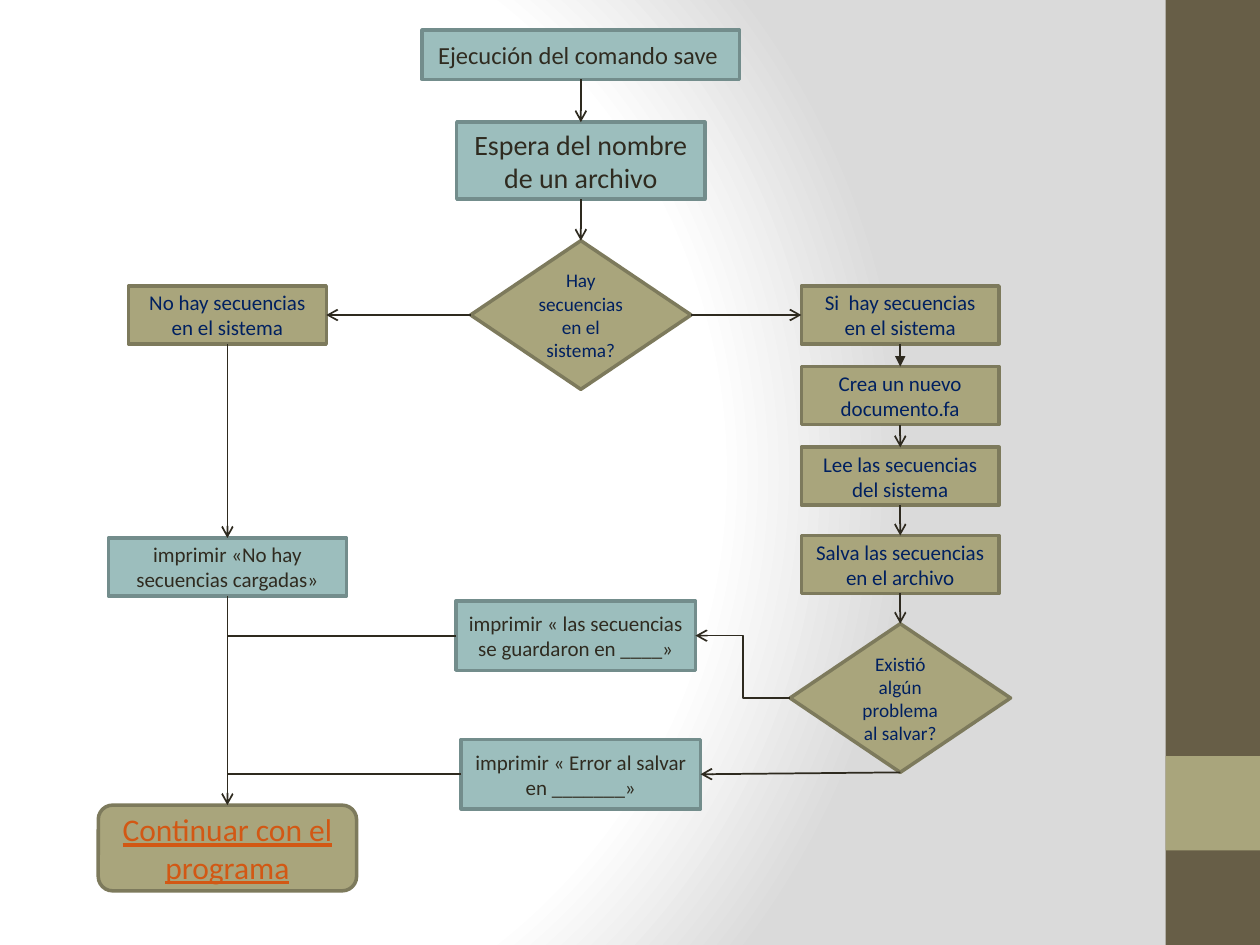
from dataclasses import dataclass

from lxml import etree
from pptx import Presentation
from pptx.dml.color import RGBColor
from pptx.enum.shapes import MSO_CONNECTOR as Link, MSO_SHAPE as Shape
from pptx.enum.text import MSO_ANCHOR as Anchor, PP_ALIGN as Align
from pptx.oxml import parse_xml
from pptx.oxml.ns import nsdecls, qn
from pptx.util import Inches, Pt

COLUMNS, ROWS = 100, 75
CELL = Inches(0.1)
STEP_HEIGHT = 4.6
TOP, LEFT, BOTTOM, RIGHT = range(4)

TEAL = RGBColor(0x9C, 0xBE, 0xBD)
TEAL_EDGE = RGBColor(0x73, 0x8D, 0x8C)
OLIVE = RGBColor(0xA9, 0xA5, 0x7C)
OLIVE_EDGE = RGBColor(0x7D, 0x7A, 0x5C)
BROWN = RGBColor(0x67, 0x5E, 0x47)
INK = RGBColor(0x2F, 0x2B, 0x20)
LINE = RGBColor(0x2E, 0x2A, 0x1F)
NAVY = RGBColor(0x00, 0x20, 0x60)
ORANGE = RGBColor(0xD2, 0x58, 0x14)
WHITE = RGBColor(0xFF, 0xFF, 0xFF)
GREY = RGBColor(0xDA, 0xDA, 0xDA)


@dataclass
class Box:
    """An area of the slide, in grid columns and rows."""
    left: float
    top: float
    width: float
    height: float

    def inner(self, left, top, width, height):
        """Return an area placed relative to this one."""
        return Box(self.left + left, self.top + top, width, height)

    def centred(self, top, width, height):
        """Return an area on this one's vertical axis."""
        return self.inner((self.width - width) / 2, top, width, height)

    def lengths(self):
        """Return left, top, width and height as slide lengths."""
        return [round(n * CELL) for n in (self.left, self.top, self.width, self.height)]


@dataclass
class Style:
    """The look of a flowchart node."""
    fill: RGBColor
    edge: RGBColor
    ink: RGBColor


ACTION = Style(TEAL, TEAL_EDGE, INK)
STATE = Style(OLIVE, OLIVE_EDGE, NAVY)
EXIT = Style(OLIVE, OLIVE_EDGE, ORANGE)


def add_block(page, box, fill, kind=Shape.RECTANGLE):
    """Draw a plain filled shape without an outline."""
    block = page.shapes.add_shape(kind, *box.lengths())
    block.shadow.inherit = False
    block.fill.solid()
    block.fill.fore_color.rgb = fill
    block.line.fill.background()
    return block


def add_node(page, box, text, style, size=12, kind=Shape.RECTANGLE):
    """Draw an outlined flowchart node with centred text."""
    node = add_block(page, box, style.fill, kind)
    node.line.color.rgb = style.edge
    node.line.width = Pt(2)
    frame = node.text_frame
    frame.word_wrap = True
    frame.margin_top = frame.margin_bottom = 0
    frame.vertical_anchor = Anchor.MIDDLE
    para = frame.paragraphs[0]
    para.alignment = Align.CENTER
    span = para.add_run()
    span.text = text
    span.font.name = "Calibri"
    span.font.size = Pt(size)
    span.font.color.rgb = style.ink
    span.font.underline = True if style is EXIT else None
    return node


def add_link(page, start=None, end=None, points=(0, 0, 0, 0), kind=Link.STRAIGHT, head="arrow"):
    """Draw a line between points or between (node, side) pairs."""
    link = page.shapes.add_connector(kind, *[round(n * CELL) for n in points])
    if start:
        link.begin_connect(*start)
    if end:
        link.end_connect(*end)
    link.line.color.rgb = LINE
    link.line.width = Pt(1)
    if head:
        etree.SubElement(link.line._get_or_add_ln(), qn("a:tailEnd"), type=head)
    etree.SubElement(link._element.spPr, qn("a:effectLst"))


def chain(page, nodes, heads=()):
    """Link each node's bottom to the next node's top."""
    for place, (upper, lower) in enumerate(zip(nodes, nodes[1:])):
        head = heads[place] if place < len(heads) else "arrow"
        add_link(page, (upper, BOTTOM), (lower, TOP), head=head)


def paint_background(page):
    """Fill the background with a radial white to grey gradient."""
    stops = "".join(
        f'<a:gs pos="{place * 1000}"><a:srgbClr val="{colour}"/></a:gs>'
        for place, colour in ((0, WHITE), (75, WHITE), (100, GREY)))
    page.background.fill.solid()
    properties = page._element.cSld.bg.bgPr
    properties.replace(properties[0], parse_xml(
        f'<a:gradFill {nsdecls("a")} rotWithShape="1"><a:gsLst>{stops}</a:gsLst>'
        '<a:path path="circle"><a:fillToRect l="20000" t="50000" r="100000" b="50000"/>'
        '</a:path></a:gradFill>'))


def add_side_band(page, box):
    """Draw the side band with its square accent."""
    add_block(page, box, BROWN)
    add_block(page, box.inner(0, 0.8 * box.height, box.width, box.width), OLIVE)


def add_start(page, box):
    """Draw the opening steps; return the first decision."""
    nodes = [
        add_node(page, box.centred(0, 25.2, 3.9), "Ejecución del comando save ", ACTION, 14),
        add_node(page, box.centred(7.3, 19.7, 6.1), "Espera del nombre de un archivo", ACTION, 16),
        add_node(page, box.centred(16.7, 17.5, 11.8), "Hay secuencias en el sistema?",
                 STATE, 11, Shape.DIAMOND)]
    chain(page, nodes)
    return nodes[-1]


def add_empty_branch(page, box):
    """Draw the branch without sequences; return its first node."""
    nodes = [
        add_node(page, box.centred(0, 15.7, STEP_HEIGHT), "No hay secuencias en el sistema", STATE),
        add_node(page, box.centred(20, 18.9, STEP_HEIGHT),
                 "imprimir «No hay secuencias cargadas»", ACTION),
        add_node(page, box.centred(41.2, 20.5, 6.8), "Continuar con el programa",
                 EXIT, 18, Shape.FLOWCHART_ALTERNATE_PROCESS)]
    chain(page, nodes)
    return nodes[0]


def add_save_branch(page, box):
    """Draw the saving branch; return its first node and decision."""
    steps = ((0, "Si  hay secuencias en el sistema"), (6.4, "Crea un nuevo documento.fa"),
             (12.8, "Lee las secuencias del sistema"), (19.8, "Salva las secuencias en el archivo"))
    nodes = [add_node(page, box.centred(top, 15.7, STEP_HEIGHT), text, STATE)
             for top, text in steps]
    nodes.append(add_node(page, box.centred(26.8, 17.5, 11.8), "Existió algún problema al salvar?",
                          STATE, 11, Shape.DIAMOND))
    chain(page, nodes, heads=("triangle",))
    return nodes[0], nodes[-1]


def add_messages(page, box, axis):
    """Draw both result messages and their lines to the left axis."""
    saved_box = box.inner(0, 0, 19, 5.5)
    failed_box = box.inner(0.4, 11, 19, 5.5)
    saved = add_node(page, saved_box, "imprimir « las secuencias se guardaron en ____»", ACTION)
    failed = add_node(page, failed_box, "imprimir « Error al salvar en _______»", ACTION)
    for message in (saved_box, failed_box):
        height = message.top + message.height / 2
        add_link(page, points=(message.left, height, axis, height), head=None)
    return saved, failed


def add_flowchart(page, box):
    """Place the four regions of the flowchart and join them."""
    empty_box = box.inner(7.8, 22.7, 20.5, 48)
    has_sequences = add_start(page, box.inner(33.5, 2.4, 25.2, 28.5))
    empty = add_empty_branch(page, empty_box)
    filled, had_problem = add_save_branch(page, box.inner(62.7, 22.7, 17.5, 38.6))
    axis = empty_box.left + empty_box.width / 2
    saved, failed = add_messages(page, box.inner(36.2, 47.7, 19.4, 16.5), axis)
    add_link(page, (has_sequences, LEFT), (empty, RIGHT))
    add_link(page, (has_sequences, RIGHT), (filled, LEFT))
    add_link(page, (had_problem, LEFT), (saved, RIGHT), kind=Link.ELBOW)
    add_link(page, (had_problem, BOTTOM), (failed, RIGHT))


def main():
    """Build and save the one-page deck."""
    deck = Presentation()
    deck.slide_width, deck.slide_height = COLUMNS * CELL, ROWS * CELL
    page = deck.slides.add_slide(deck.slide_layouts[6])
    paint_background(page)
    add_side_band(page, Box(92.5, 0, 7.5, ROWS))
    add_flowchart(page, Box(0, 0, 92.5, ROWS))
    deck.save("out.pptx")


main()
